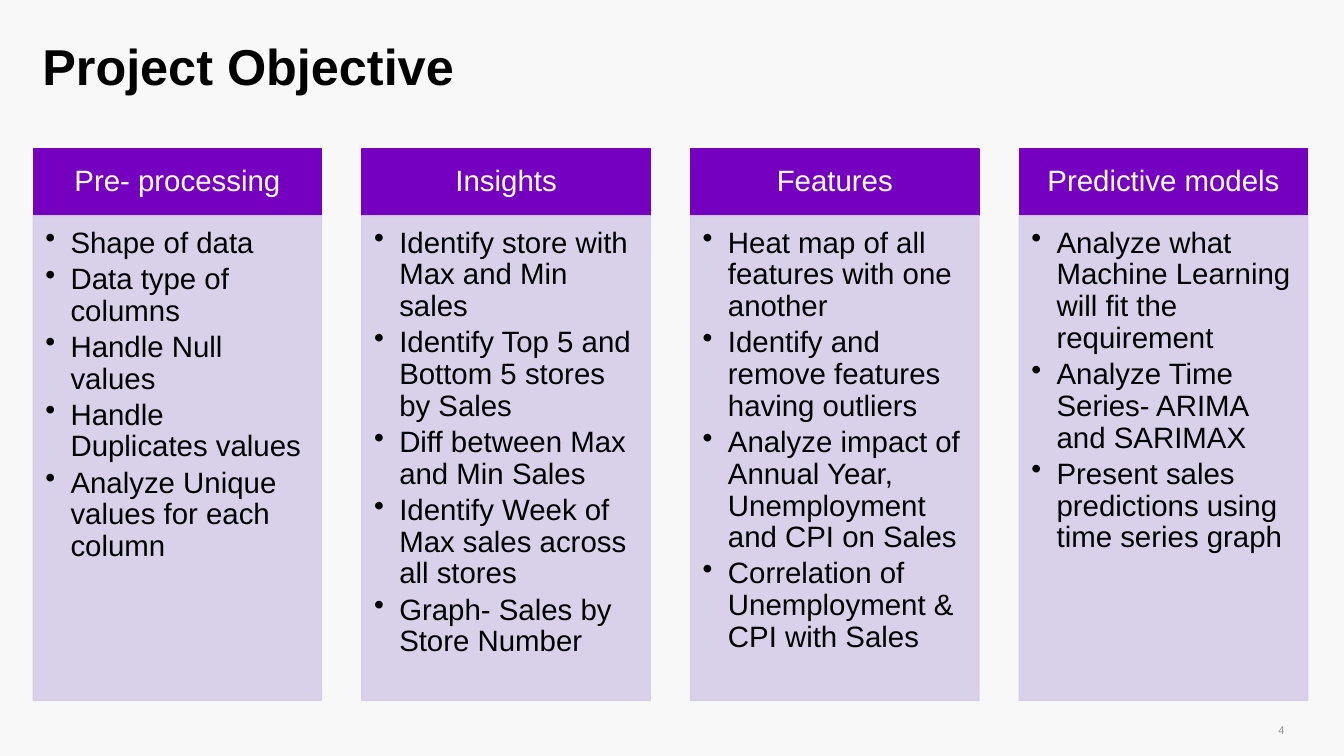
import pptx
import pptx.dml.color
import pptx.enum.shapes
import pptx.enum.text
import pptx.oxml.ns
import pptx.oxml.xmlchemy
import pptx.util
from pptx.util import Inches

ALIGN = pptx.enum.text.PP_ALIGN
ANCHOR = pptx.enum.text.MSO_ANCHOR
FONT = "Arial"
PURPLE = "7500C0"
LAVENDER = "D6CCE8"
COLUMN_WIDTH = 2.86
COLUMN_PITCH = 3.26
HEADER_HEIGHT = 0.66

COLUMNS = [
    ("Pre- processing", [
        "Shape of data",
        "Data type of columns",
        "Handle Null values",
        "Handle Duplicates values",
        "Analyze Unique values for each column",
    ]),
    ("Insights", [
        "Identify store with Max and Min sales",
        "Identify Top 5 and Bottom 5 stores by Sales",
        "Diff between Max and Min Sales",
        "Identify Week of Max sales across all stores",
        "Graph- Sales by Store Number",
    ]),
    ("Features", [
        "Heat map of all features with one another",
        "Identify and remove features having outliers",
        "Analyze impact of Annual Year, Unemployment and CPI on Sales",
        "Correlation of Unemployment & CPI with Sales",
    ]),
    ("Predictive models", [
        "Analyze what Machine Learning will fit the requirement",
        "Analyze Time Series- ARIMA and SARIMAX",
        "Present sales predictions using time series graph",
    ]),
]


def paint(fill, color):
    """Make a fill solid in a hex colour."""
    fill.solid()
    fill.fore_color.rgb = pptx.dml.color.RGBColor.from_string(color)


def make_translucent(shape, percent):
    """Give the fill and line colours of a shape an opacity."""
    for color in shape._element.spPr.iter(pptx.oxml.ns.qn("a:srgbClr")):
        alpha = pptx.oxml.xmlchemy.OxmlElement("a:alpha")
        alpha.set("val", str(percent * 1000))
        color.append(alpha)


def add_bullet(paragraph):
    """Give a paragraph a hanging round bullet."""
    properties = paragraph._p.get_or_add_pPr()
    properties.set("marL", str(Inches(0.25)))
    properties.set("indent", str(Inches(-0.25)))
    bullet = pptx.oxml.xmlchemy.OxmlElement("a:buChar")
    bullet.set("char", "•")
    properties.append(bullet)


def write_text(shape, lines, size, color, insets, anchor=ANCHOR.TOP,
               align=ALIGN.LEFT, spacing=1.0, after=0, bold=False, bullets=False):
    """Fill a shape with formatted paragraphs."""
    frame = shape.text_frame
    frame.word_wrap = True
    frame.vertical_anchor = anchor
    (frame.margin_left, frame.margin_top,
     frame.margin_right, frame.margin_bottom) = map(Inches, insets)
    frame.text = "\n".join(lines)
    for paragraph in frame.paragraphs:
        if bullets:
            add_bullet(paragraph)
        paragraph.alignment = align
        paragraph.line_spacing = spacing
        paragraph.space_after = pptx.util.Pt(after)
        for run in paragraph.runs:
            run.font.name = FONT
            run.font.size = pptx.util.Pt(size)
            run.font.bold = bold
            paint(run.font.fill, color)


def add_panel(slide, left, top, width, height, color):
    """Add a plain coloured rectangle."""
    panel = slide.shapes.add_shape(
        pptx.enum.shapes.MSO_SHAPE.RECTANGLE,
        Inches(left), Inches(top), Inches(width), Inches(height))
    panel.shadow.inherit = False
    paint(panel.fill, color)
    paint(panel.line.fill, color)
    panel.line.width = pptx.util.Pt(1)
    return panel


def add_title(slide, left, top, width, height):
    """Add the slide heading."""
    title = slide.shapes.add_textbox(*map(Inches, (left, top, width, height)))
    write_text(title, ["Project Objective"], 36, "000000", (0, 0.05, 0, 0),
               spacing=0.8, bold=True)


def add_column(slide, left, top, width, height, heading, points):
    """Add a heading bar with a bulleted panel below it."""
    header = add_panel(slide, left, top, width, HEADER_HEIGHT, PURPLE)
    write_text(header, [heading], 21, "FFFFFF", (0.16, 0.09, 0.16, 0.09),
               anchor=ANCHOR.MIDDLE, align=ALIGN.CENTER, spacing=0.9)
    body = add_panel(slide, left, top + HEADER_HEIGHT, width,
                     height - HEADER_HEIGHT, LAVENDER)
    make_translucent(body, 90)
    write_text(body, points, 21, "000000", (0.12, 0.12, 0.16, 0.18),
               spacing=0.9, after=3.15, bullets=True)


def add_page_number(slide, left, top, width, height):
    """Add the slide number."""
    number = slide.shapes.add_textbox(*map(Inches, (left, top, width, height)))
    write_text(number, ["4"], 8, "959595", (0.1, 0.05, 0.1, 0.05))


def main():
    """Build and save the presentation."""
    presentation = pptx.Presentation()
    presentation.slide_width = Inches(13.33)
    presentation.slide_height = Inches(7.5)
    slide = presentation.slides.add_slide(presentation.slide_layouts[6])
    paint(slide.background.fill, "F8F8F8")
    add_page_number(slide, 12.58, 7.13, 0.42, 0.23)
    add_title(slide, 0.42, 0.42, 12.5, 1.08)
    for index, (heading, points) in enumerate(COLUMNS):
        add_column(slide, 0.33 + index * COLUMN_PITCH, 1.48, COLUMN_WIDTH, 5.47,
                   heading, points)
    presentation.save("out.pptx")


if __name__ == "__main__":
    main()
